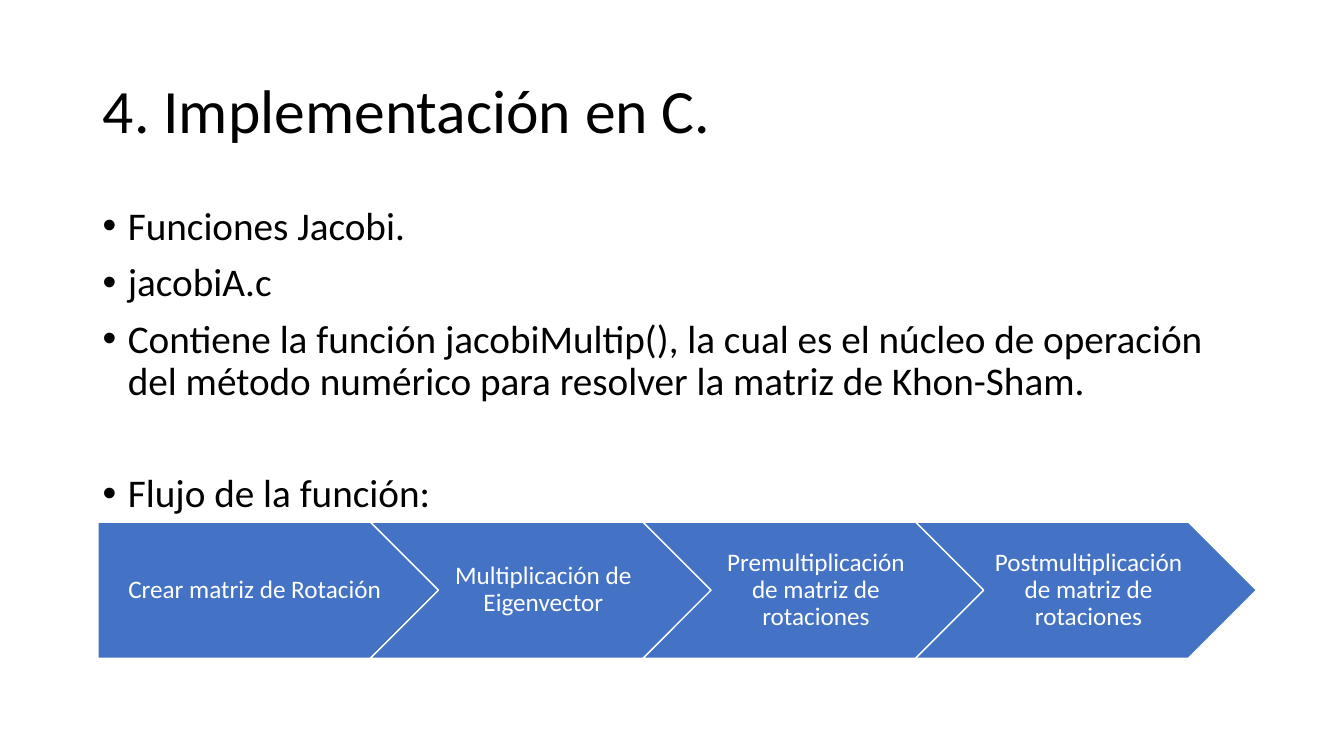
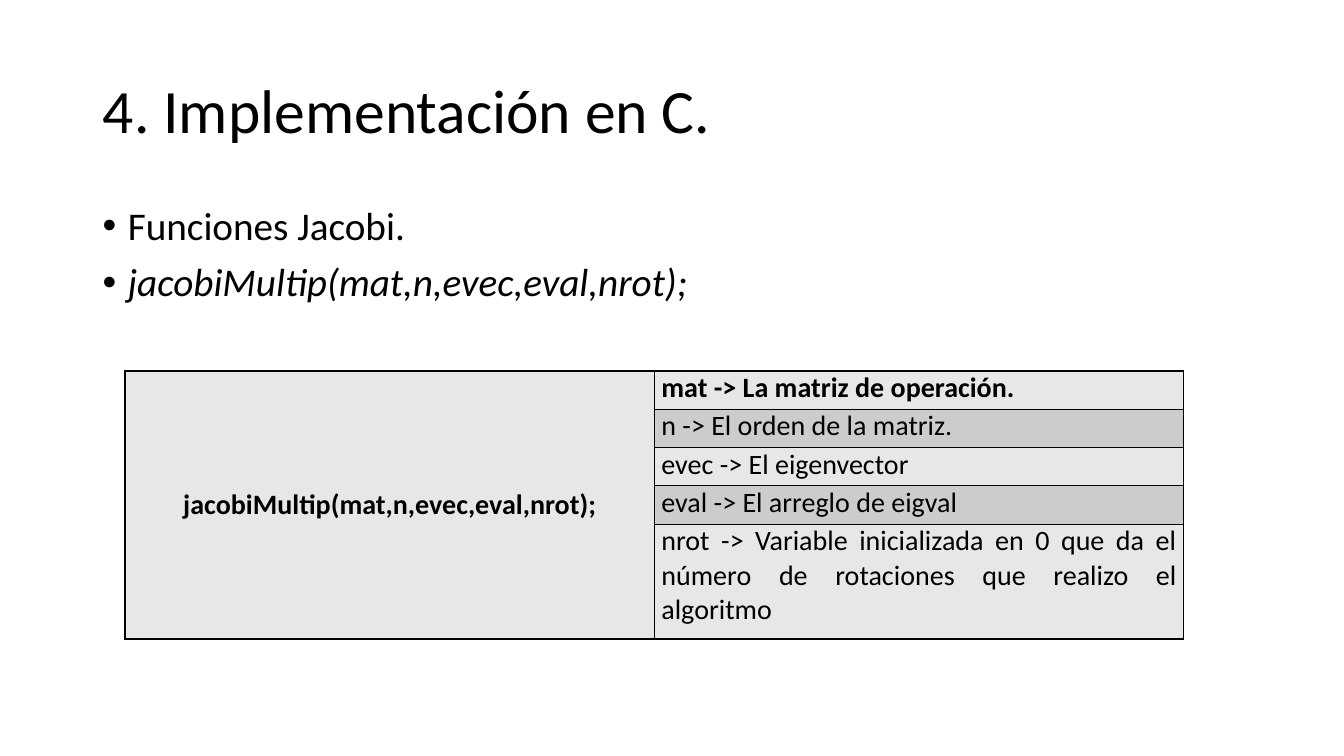
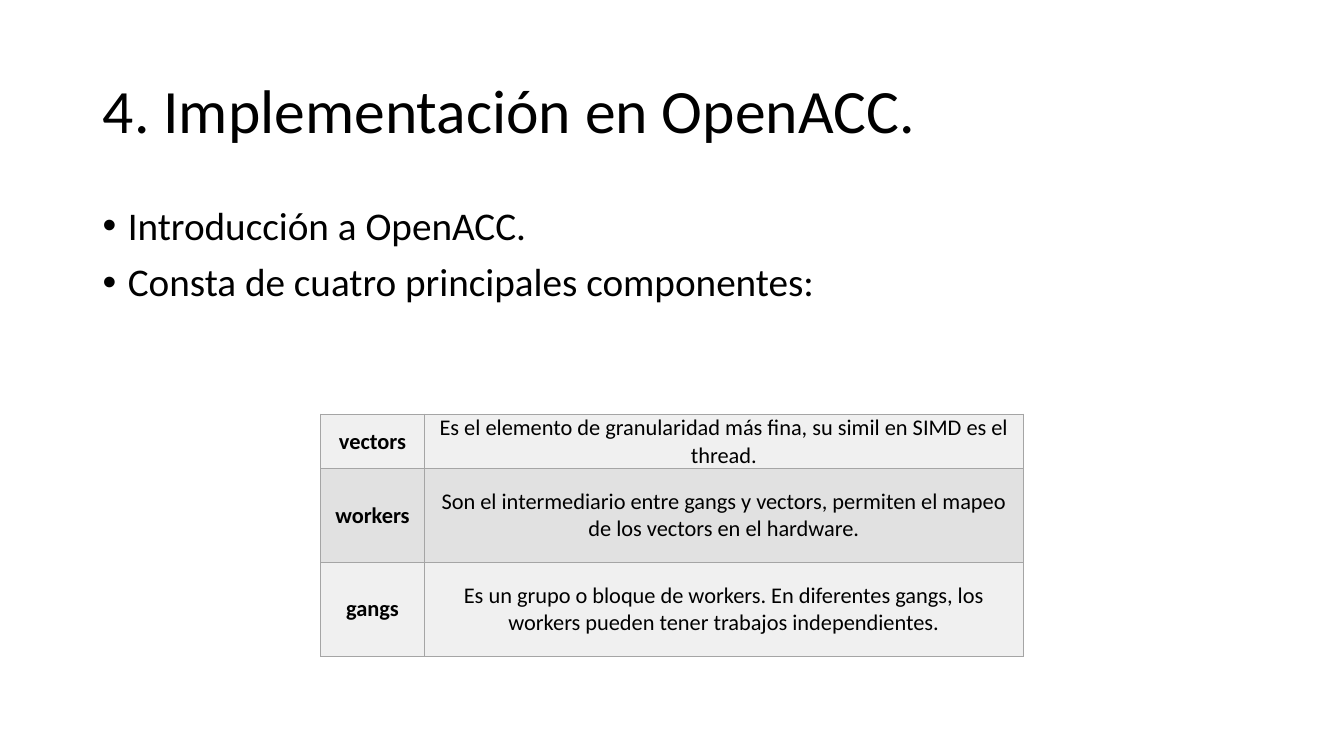
from lxml import etree
from pptx import Presentation
from pptx.dml.color import RGBColor
from pptx.enum.shapes import MSO_SHAPE
from pptx.enum.text import MSO_ANCHOR, PP_ALIGN
from pptx.oxml.ns import qn
from pptx.util import Inches, Pt

LEFT, CENTER, JUSTIFY = PP_ALIGN.LEFT, PP_ALIGN.CENTER, PP_ALIGN.JUSTIFY
TOP, MIDDLE = MSO_ANCHOR.TOP, MSO_ANCHOR.MIDDLE
PENTAGON, CHEVRON = MSO_SHAPE.PENTAGON, MSO_SHAPE.CHEVRON

BLACK = RGBColor(0x00, 0x00, 0x00)
WHITE = RGBColor(0xFF, 0xFF, 0xFF)
BLUE = RGBColor(0x44, 0x72, 0xC4)
RULE_GRAY = RGBColor(0xA5, 0xA5, 0xA5)
CALL_BANDS = (RGBColor(0xE7, 0xE7, 0xE7), RGBColor(0xCC, 0xCC, 0xCC))
LEVEL_BANDS = (RGBColor(0xF0, 0xF0, 0xF0), RGBColor(0xE1, 0xE1, 0xE1))
FONT = "Calibri"

SLIDE_W, SLIDE_H = 13.33, 7.5
MARGIN, CONTENT_W = 0.92, 11.5
TITLE_TOP, TITLE_H = 0.4, 1.45
BODY_TOP, BODY_H = 2, 4.76
BULLET_GAP, SECTION_GAP = 10, 50

C_TITLE = "4. Implementación en C."
ACC_TITLE = "4. Implementación en OpenACC."
CALL = "jacobiMultip(mat,n,evec,eval,nrot);"

FILE_POINTS = [
    ("Funciones Jacobi.", False, BULLET_GAP),
    ("jacobiA.c", False, BULLET_GAP),
    ("Contiene la función jacobiMultip(), la cual es el núcleo de operación "
     "del método numérico para resolver la matriz de Khon-Sham.", False, BULLET_GAP),
    ("Flujo de la función:", False, SECTION_GAP),
]
CALL_POINTS = [
    ("Funciones Jacobi.", False, BULLET_GAP),
    (CALL, True, BULLET_GAP),
]
ACC_POINTS = [
    ("Introducción a OpenACC.", False, BULLET_GAP),
    ("Consta de cuatro principales componentes:", False, BULLET_GAP),
]
FLOW_STEPS = [
    "Crear matriz de Rotación",
    "Multiplicación de Eigenvector",
    "Premultiplicación de matriz de rotaciones",
    "Postmultiplicación de matriz de rotaciones",
]
ARGUMENTS = [
    "mat -> La matriz de operación.",
    "n -> El orden de la matriz.",
    "evec -> El eigenvector",
    "eval -> El arreglo de eigval",
    "nrot -> Variable inicializada en 0 que da el número de rotaciones "
    "que realizo el algoritmo",
]
LEVELS = [
    ("vectors", "Es el elemento de granularidad más fina, su simil en SIMD es el thread."),
    ("workers", "Son el intermediario entre gangs y vectors, permiten el mapeo "
                "de los vectors en el hardware."),
    ("gangs", "Es un grupo o bloque de workers. En diferentes gangs, los workers "
              "pueden tener trabajos independientes."),
]


def write(paragraph, text, size, color=BLACK, align=LEFT, bold=False, italic=False):
    paragraph.alignment = align
    run = paragraph.add_run()
    run.text = text
    font = run.font
    font.name, font.size, font.bold, font.italic = FONT, Pt(size), bold, italic
    font.color.rgb = color


def add_bullet(paragraph):
    props = paragraph._p.get_or_add_pPr()
    props.set("marL", str(Inches(0.25)))
    props.set("indent", str(-Inches(0.25)))
    etree.SubElement(props, qn("a:buFont")).set("typeface", "Arial")
    etree.SubElement(props, qn("a:buChar")).set("char", "•")


def add_page(title_text, points):
    slide = deck.slides.add_slide(deck.slide_layouts[5])
    title = slide.shapes.title
    title.left, title.top = Inches(MARGIN), Inches(TITLE_TOP)
    title.width, title.height = Inches(CONTENT_W), Inches(TITLE_H)
    title.text_frame.vertical_anchor = MIDDLE
    heading = title.text_frame.paragraphs[0]
    heading.line_spacing = 0.9
    write(heading, title_text, 44)

    body = slide.shapes.add_textbox(Inches(MARGIN), Inches(BODY_TOP),
                                    Inches(CONTENT_W), Inches(BODY_H)).text_frame
    body.word_wrap = True
    for index, (text, italic, gap) in enumerate(points):
        point = body.add_paragraph() if index else body.paragraphs[0]
        point.line_spacing, point.space_before = 0.9, Pt(gap)
        add_bullet(point)
        write(point, text, 28, italic=italic)
    return slide


def add_flow(slide, steps, left, top, width, height):
    pitch = width * 0.8
    for index, text in enumerate(steps):
        step = slide.shapes.add_shape(CHEVRON if index else PENTAGON,
                                      Inches(left + index * pitch), Inches(top),
                                      Inches(width), Inches(height))
        step.shadow.inherit = False
        step.fill.solid()
        step.fill.fore_color.rgb = BLUE
        step.line.color.rgb, step.line.width = WHITE, Pt(1)
        frame = step.text_frame
        frame.word_wrap, frame.vertical_anchor = True, MIDDLE
        frame.margin_left = Inches(0.08 if index else 0.1)
        frame.margin_right = Inches(0.03)
        frame.margin_top = frame.margin_bottom = Inches(0.05)
        label = frame.paragraphs[0]
        label.line_spacing = 0.9
        write(label, text, 18, WHITE, CENTER)


def add_grid(slide, left, top, columns, rows, bands, rule):
    grid = slide.shapes.add_table(len(rows), len(columns), Inches(left), Inches(top),
                                  Inches(sum(columns)), Inches(sum(rows))).table
    grid.first_row = grid.horz_banding = False
    for column, width in zip(grid.columns, columns):
        column.width = Inches(width)
    for index, (row, height) in enumerate(zip(grid.rows, rows)):
        row.height = Inches(height)
        for cell in row.cells:
            cell.margin_left = cell.margin_right = Inches(0.07)
            cell.margin_top = cell.margin_bottom = 0
            props = cell._tc.get_or_add_tcPr()
            for side in ("a:lnL", "a:lnR", "a:lnT", "a:lnB"):
                edge = etree.SubElement(props, qn(side), w=str(Pt(1)))
                ink = etree.SubElement(edge, qn("a:solidFill"))
                etree.SubElement(ink, qn("a:srgbClr"), val=str(rule))
            cell.fill.solid()
            cell.fill.fore_color.rgb = bands[index % 2]
    return grid


def fill_cell(cell, text, size, align, anchor, bold):
    cell.vertical_anchor = anchor
    write(cell.text_frame.paragraphs[0], text, size, align=align, bold=bold)


deck = Presentation()
deck.slide_width, deck.slide_height = Inches(SLIDE_W), Inches(SLIDE_H)

file_page = add_page(C_TITLE, FILE_POINTS)
add_flow(file_page, FLOW_STEPS, 0.97, 5.18, 3.38, 1.35)

call_page = add_page(C_TITLE, CALL_POINTS)
signature = add_grid(call_page, 1.24, 3.68, [5.25] * 2, [0.38] * 4 + [1.14],
                     CALL_BANDS, BLACK)
signature.cell(0, 0).merge(signature.cell(len(ARGUMENTS) - 1, 0))
fill_cell(signature.cell(0, 0), CALL, 20, CENTER, MIDDLE, True)
for row, argument in enumerate(ARGUMENTS):
    fill_cell(signature.cell(row, 1), argument, 20, JUSTIFY, TOP, row == 0)

acc_page = add_page(ACC_TITLE, ACC_POINTS)
levels = add_grid(acc_page, 3.18, 4.11, [1.03, 5.94], [0.54, 0.93, 0.93],
                  LEVEL_BANDS, RULE_GRAY)
for row, level in enumerate(LEVELS):
    for column, text in enumerate(level):
        fill_cell(levels.cell(row, column), text, 16, CENTER, MIDDLE, column == 0)

deck.save("out.pptx")
